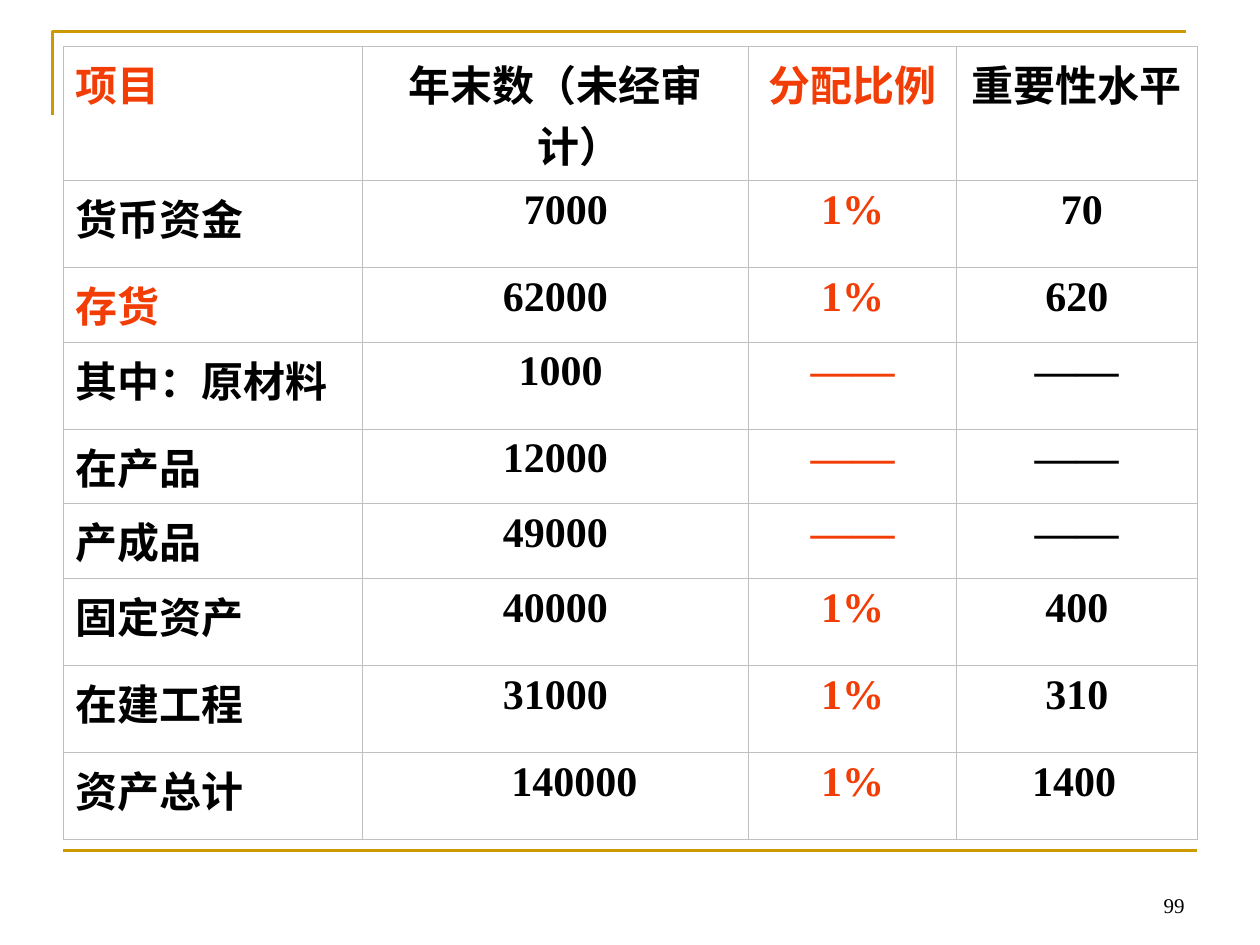
import pptx
import pptx.util
import pptx.dml.color
import pptx.enum.text
import pptx.oxml
import pptx.oxml.ns
import lxml.etree

theme = {
    "gold": "CC9900", "red": "F23E06", "black": "000000", "grey": "C0C0C0",
    "body": 24, "small": 12, "rule": 1.5, "edge": 0.45,
    "han": "Noto Sans CJK SC", "roman": "Times New Roman",
}
align = pptx.enum.text.PP_ALIGN
qn = pptx.oxml.ns.qn

deck = pptx.Presentation()
deck.slide_width = pptx.util.Inches(10)
deck.slide_height = pptx.util.Inches(7.5)
slide = deck.slides.add_slide(deck.slide_layouts[6])
unit = deck.slide_width / 120  # grid of 120 columns by 90 rows


def grid(*steps):
    return [round(step * unit) for step in steps]


def put(frame, text, font, size=theme["body"], ink="black", bold=True,
        side=align.CENTER, left=0, first=0):
    frame.margin_left = frame.margin_right = grid(1.2)[0]
    frame.margin_top = frame.margin_bottom = grid(0.6)[0]
    frame.word_wrap = True
    para = frame.paragraphs[0]
    para.alignment = side
    props = para._p.get_or_add_pPr()
    for key, step in (("marL", left), ("indent", first)):
        props.set(key, str(grid(step)[0]))
    run = para.add_run()
    run.text = text
    run.font.size = pptx.util.Pt(size)
    run.font.bold = bold
    run.font.name = theme[font]
    run.font.color.rgb = pptx.dml.color.RGBColor.from_string(theme[ink])
    east = lxml.etree.SubElement(run._r.get_or_add_rPr(), qn("a:ea"))
    east.set("typeface", theme[font])


# Gold corner and bottom rule
pen = slide.shapes.build_freeform(*grid(5, 11))
pen.add_line_segments([grid(5, 3), grid(113, 3)], close=False)
corner = pen.convert_to_shape()
corner.fill.background()
corner.shadow.inherit = False
rule = slide.shapes.add_connector(
    pptx.enum.shapes.MSO_CONNECTOR.STRAIGHT, *grid(6, 81, 114, 81))
lxml.etree.SubElement(rule._element.spPr, qn("a:effectLst"))
for shape in (corner, rule):
    shape.line.color.rgb = pptx.dml.color.RGBColor.from_string(theme["gold"])
    shape.line.width = pptx.util.Pt(theme["rule"])

# Page number
page = slide.shapes.add_textbox(*grid(86, 82, 28, 6)).text_frame
page.vertical_anchor = pptx.enum.text.MSO_ANCHOR.BOTTOM
put(page, "99", "roman", size=theme["small"], bold=False, side=align.RIGHT)

# Table content and grid
rows = [
    ("项目", "年末数（未经审计）", "分配比例", "重要性水平"),
    ("货币资金", "7000", "1%", "70"),
    ("存货", "62000", "1%", "620"),
    ("其中：原材料", "1000", "――", "――"),
    ("在产品", "12000", "――", "――"),
    ("产成品", "49000", "――", "――"),
    ("固定资产", "40000", "1%", "400"),
    ("在建工程", "31000", "1%", "310"),
    ("资产总计", "140000", "1%", "1400"),
]
wide = [28.5, 36.8, 19.8, 22.9]
tall = [12.8, 8.3, 7.1, 8.3, 7.1, 7.1, 8.3, 8.3, 8.3]
hang = 4.5
shift = {(1, 1): 2, (1, 3): 1, (3, 1): 1}  # centred numbers set to the right
start = {(8, 1): 13, (8, 3): 6}  # totals set from the left
reds = {(0, 0), (2, 0)}

frame = slide.shapes.add_table(
    len(rows), len(wide), *grid(6, 4.4, sum(wide), sum(tall)))
table = frame.table
table.first_row = table.horz_banding = False
for col, step in zip(table.columns, wide):
    col.width = grid(step)[0]
for row, step in zip(table.rows, tall):
    row.height = grid(step)[0]

# Cells with thin grey borders
for r, row in enumerate(rows):
    for c, text in enumerate(row):
        cell = table.cell(r, c)
        spot = (r, c)
        look = {"left": hang, "first": shift.get(spot, 0) - hang}
        if c == 0:
            look["side"] = align.JUSTIFY
        if spot in start:
            look = {"left": start[spot], "side": align.LEFT}
        put(cell.text_frame, text, "han" if r == 0 or c == 0 else "roman",
            ink="red" if c == 2 or spot in reds else "black", **look)
        props = cell._tc.get_or_add_tcPr()
        for edge in ("lnL", "lnR", "lnT", "lnB"):
            line = lxml.etree.SubElement(props, qn("a:" + edge))
            line.set("w", str(pptx.util.Pt(theme["edge"])))
            fill = lxml.etree.SubElement(line, qn("a:solidFill"))
            tint = lxml.etree.SubElement(fill, qn("a:srgbClr"))
            tint.set("val", theme["grey"])
        cell.fill.background()

deck.save("out.pptx")
